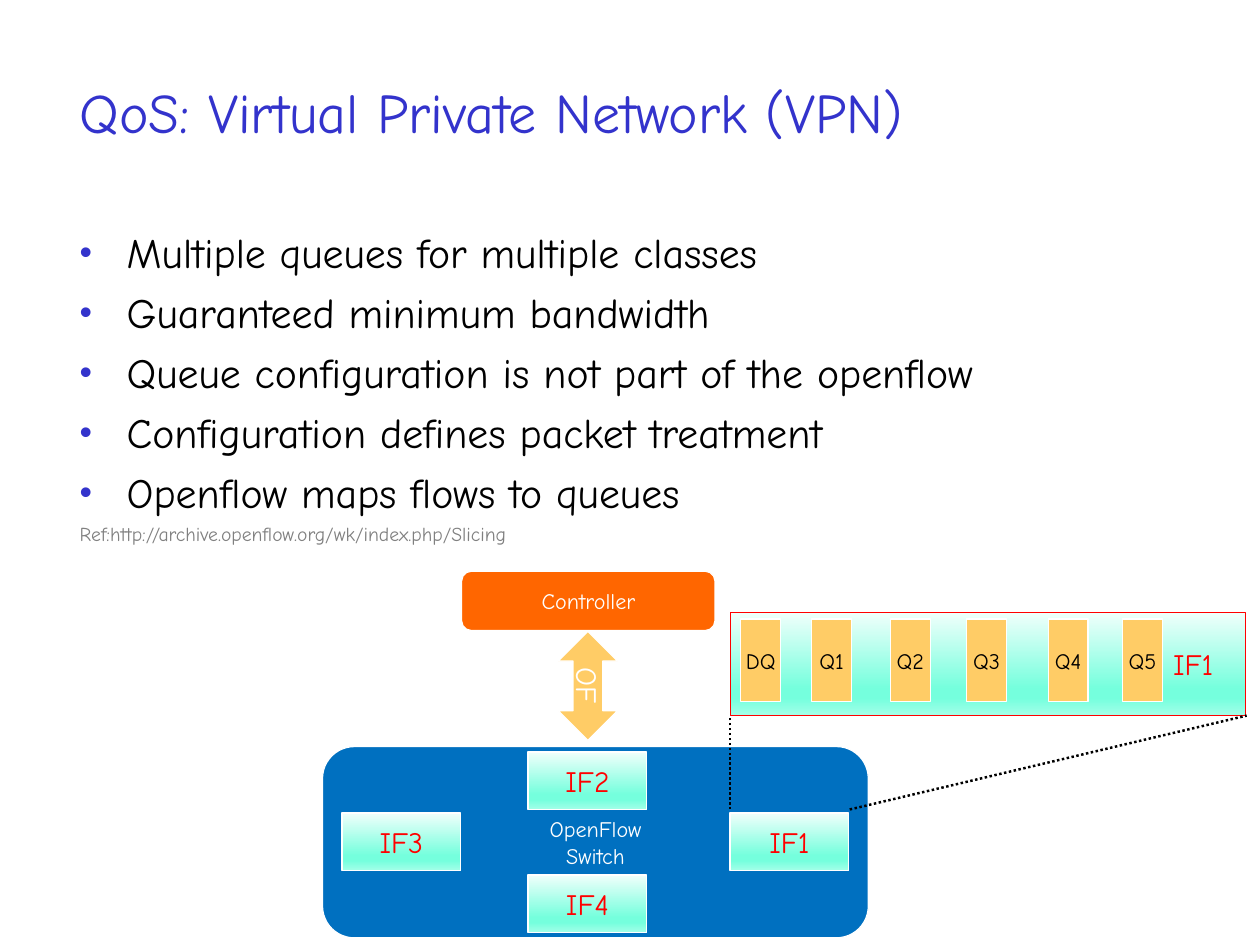
"""Draw the QoS slide with its bullet list and switch diagram on a grid of tenths of an inch."""
import dataclasses
import typing

import lxml.etree
import pptx
import pptx.dml.color
import pptx.enum.dml
import pptx.enum.shapes
import pptx.enum.text
import pptx.oxml.ns
import pptx.util

KIND = pptx.enum.shapes.MSO_SHAPE
ALIGN = pptx.enum.text.PP_ALIGN
ANCHOR = pptx.enum.text.MSO_ANCHOR
SIZING = pptx.enum.text.MSO_AUTO_SIZE
TAG = pptx.oxml.ns.qn

FONT = "Comic Neue"
WHITE, BLACK, RED, BLUE, SAND = "FFFFFF", "000000", "FF0000", "3333CC", "FFCC66"
MINT = ((0, "F0FFFB"), (74, "75FFDD"), (83, "75FFDD"), (100, "A3FFE8"))
INSET = pptx.util.Inches(0.07)
FRAME = {"margin_left": INSET, "margin_right": INSET, "margin_top": INSET, "margin_bottom": INSET}
LABEL = {"word_wrap": False, "auto_size": SIZING.SHAPE_TO_FIT_TEXT, "vertical_anchor": ANCHOR.MIDDLE}
BLOCK = {"word_wrap": True, "auto_size": SIZING.NONE, "vertical_anchor": ANCHOR.TOP}
TITLE = {**BLOCK, "vertical_anchor": ANCHOR.MIDDLE}

Area = tuple[float, float, float, float]
Paint = str | tuple[tuple[int, str], ...]


@dataclasses.dataclass(frozen=True)
class Line:
    """A paragraph of text."""
    text: str
    size: float
    tint: str
    align: typing.Any = ALIGN.LEFT
    before: float = 0
    bullet: bool = False


@dataclasses.dataclass(frozen=True)
class Node:
    """A shape with a label in its centre."""
    area: Area
    fill: Paint
    text: str = ""
    label: tuple[float, float] = (0, 0)
    size: float = 18
    tint: str = WHITE
    edge: str = WHITE
    kind: typing.Any = KIND.RECTANGLE
    turn: float = 0


def cell(count: float) -> int:
    """Turn grid cells into a length."""
    return pptx.util.Inches(count / 10)


def shade(code: str) -> pptx.dml.color.RGBColor:
    """Turn a hex string into a colour."""
    return pptx.dml.color.RGBColor.from_string(code)


def apply(target: typing.Any, format: dict[str, typing.Any]) -> None:
    """Set each format value on the target."""
    for name, value in format.items():
        setattr(target, name, value)


def mark(para: typing.Any) -> None:
    """Give a paragraph a hanging bullet."""
    props = para._p.get_or_add_pPr()
    props.set("marL", str(cell(5.3)))
    props.set("indent", str(-cell(5.3)))
    paint = lxml.etree.SubElement(props, TAG("a:buClr"))
    lxml.etree.SubElement(paint, TAG("a:srgbClr"), val=BLUE)
    lxml.etree.SubElement(props, TAG("a:buSzPct"), val="85000")
    lxml.etree.SubElement(props, TAG("a:buFont"), typeface="Arial")
    lxml.etree.SubElement(props, TAG("a:buChar"), char="•")


def write(slide: typing.Any, area: Area, lines: list[Line], format: dict[str, typing.Any],
          turn: float = 0) -> None:
    """Place a text box and fill in its lines."""
    box = slide.shapes.add_textbox(*map(cell, area))
    box.rotation = turn
    frame = box.text_frame
    apply(frame, {**FRAME, **format})
    for index, line in enumerate(lines):
        para = frame.add_paragraph() if index else frame.paragraphs[0]
        apply(para, {"alignment": line.align, "space_before": pptx.util.Pt(line.before)})
        if line.bullet:
            mark(para)
        run = para.add_run()
        run.text = line.text
        apply(run.font, {"name": FONT, "size": pptx.util.Pt(line.size)})
        run.font.color.rgb = shade(line.tint)


def cover(shape: typing.Any, fill: Paint) -> None:
    """Fill a shape with one colour or a downward blend."""
    if isinstance(fill, str):
        shape.fill.solid()
        shape.fill.fore_color.rgb = shade(fill)
        return
    shape.fill.gradient()
    shape.fill.gradient_angle = 270
    stops = shape._element.spPr.find(".//" + TAG("a:gsLst"))
    for stop in list(stops):
        stops.remove(stop)
    for place, code in fill:
        stop = lxml.etree.SubElement(stops, TAG("a:gs"), pos=str(place * 1000))
        lxml.etree.SubElement(stop, TAG("a:srgbClr"), val=code)


def draw(slide: typing.Any, node: Node) -> None:
    """Draw a node and its label."""
    shape = slide.shapes.add_shape(node.kind, *map(cell, node.area))
    shape.shadow.inherit = False
    cover(shape, node.fill)
    shape.line.color.rgb = shade(node.edge)
    shape.line.width = pptx.util.Pt(1)
    if node.text:
        left, top, width, height = node.area
        wide, high = node.label
        spot = (left + (width - wide) / 2, top + (height - high) / 2, wide, high)
        lines = [Line(text, node.size, node.tint, ALIGN.CENTER) for text in node.text.split("\n")]
        write(slide, spot, lines, LABEL, node.turn)


def link(slide: typing.Any, start: tuple[float, float], end: tuple[float, float]) -> None:
    """Draw a dotted line between two points."""
    line = slide.shapes.add_connector(pptx.enum.shapes.MSO_CONNECTOR.STRAIGHT,
                                      *map(cell, start + end))
    line.line.color.rgb = shade(BLACK)
    apply(line.line, {"width": pptx.util.Pt(2),
                      "dash_style": pptx.enum.dml.MSO_LINE.ROUND_DOT})
    lxml.etree.SubElement(line._element.spPr, TAG("a:effectLst"))


POINTS = ("Multiple queues for multiple classes", "Guaranteed minimum bandwidth",
          "Queue configuration is not part of the openflow",
          "Configuration defines packet treatment", "Openflow maps flows to queues")
SOURCE = "Ref:http://archive.openflow.org/wk/index.php/Slicing"
ROUND = KIND.ROUNDED_RECTANGLE
SWITCH = Node((36.4, 84.3, 61.6, 21.6), "0070C0", "OpenFlow\nSwitch", (13.5, 8.4), kind=ROUND)
PARTS = (
    Node((52.1, 64.5, 28.6, 6.7), "FF6600", "Controller", (13.3, 4.9), kind=ROUND),
    Node((63, 71.3, 6.7, 12.3), SAND, "OF", (6.2, 6), 24, kind=KIND.UP_DOWN_ARROW, turn=90),
    Node((82.4, 69.2, 58.2, 11.6), MINT, edge=RED),
)
QUEUES = (("Q1", 91.6, 4.9), ("Q2", 100.5, 5.3), ("Q3", 109.1, 5.3),
          ("Q4", 118.3, 5.3), ("Q5", 126.7, 5.3), ("DQ", 83.6, 5.6))
PORTS = (("IF2", 59.6, 84.9, 7.4), ("IF1", 82.4, 91.8, 6.9),
         ("IF3", 38.6, 91.8, 7.4), ("IF4", 59.6, 98.8, 7.4))


def main() -> None:
    """Build and save the slide."""
    deck = pptx.Presentation()
    apply(deck, {"slide_width": cell(142.2), "slide_height": cell(106.7)})
    slide = deck.slides.add_slide(deck.slide_layouts[6])
    draw(slide, SWITCH)
    write(slide, (8.3, 3.6, 120.9, 17.8),
          [Line("QoS: Virtual Private Network (VPN)", 45.4, BLUE)], TITLE)
    body = [Line(text, 34, BLACK, before=8, bullet=True) for text in POINTS]
    write(slide, (8.3, 24.9, 120.9, 72.3), body + [Line(SOURCE, 16, "808080", before=4)], BLOCK)
    for node in PARTS:
        draw(slide, node)
    for name, left, wide in QUEUES:
        draw(slide, Node((left, 69.9, 4.5, 9.3), SAND, name, (wide, 4.9), tint=BLACK))
    write(slide, (131.7, 72.2, 10, 6), [Line("IF1", 24, RED)], BLOCK)
    for name, left, top, wide in PORTS:
        draw(slide, Node((left, top, 13.4, 6.5), MINT, name, (wide, 6), 24, RED))
    link(slide, (82.4, 91.4), (82.4, 80.8))
    link(slide, (95.9, 91.4), (140.7, 80.8))
    deck.save("out.pptx")


if __name__ == "__main__":
    main()
